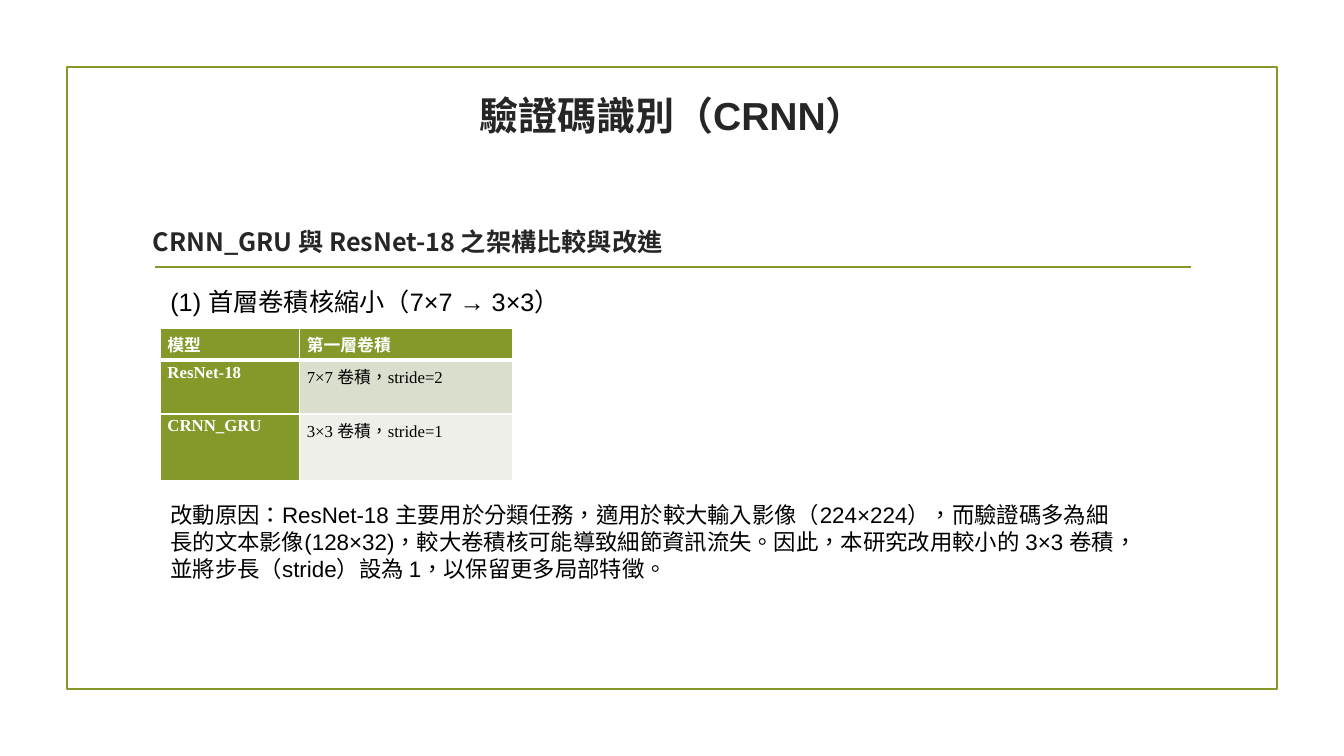
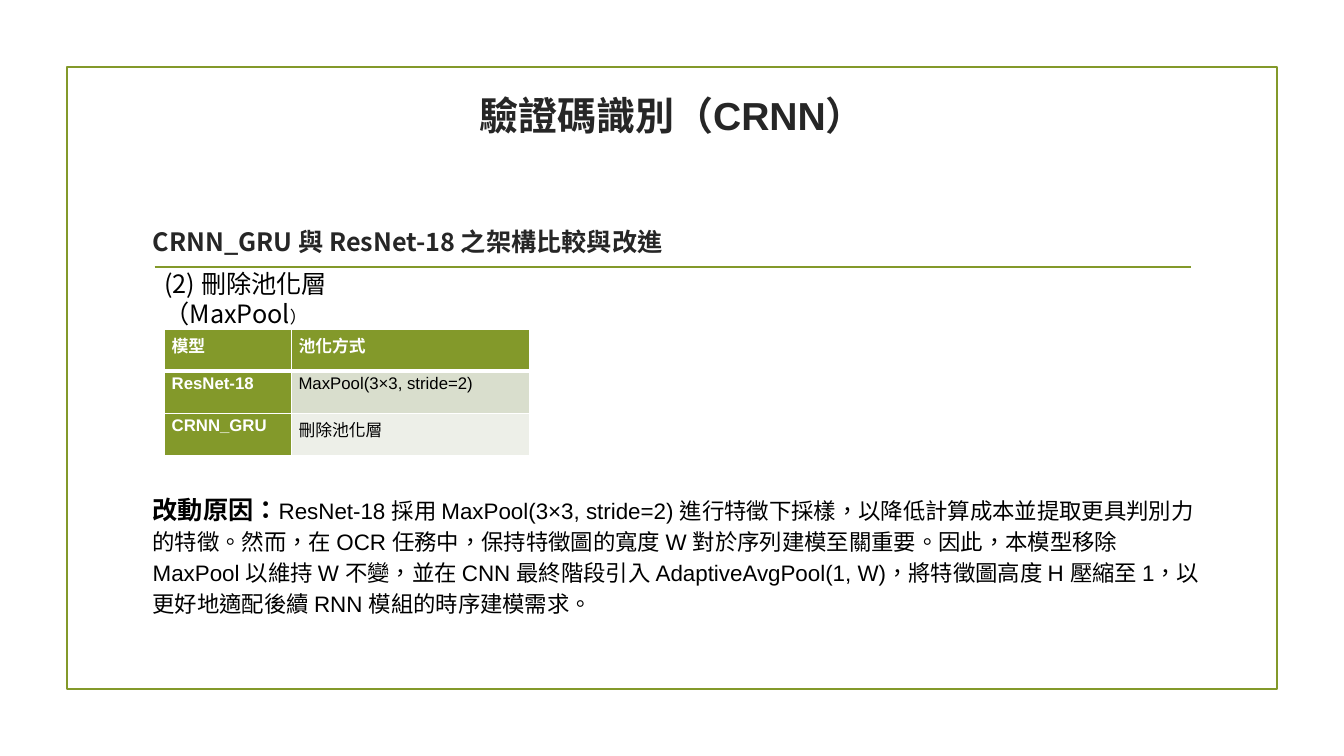
from dataclasses import dataclass
from typing import NamedTuple

from lxml import etree
from pptx import Presentation
from pptx import util as u
from pptx.dml.color import RGBColor
from pptx.enum import lang, shapes, text
from pptx.oxml import ns

GREEN = RGBColor(0x83, 0x99, 0x2A)
INK = RGBColor(0x26, 0x26, 0x26)
BLACK = RGBColor(0, 0, 0)
WHITE = RGBColor(0xFF, 0xFF, 0xFF)
BANDS = (RGBColor(0xD9, 0xDE, 0xCD), RGBColor(0xED, 0xEF, 0xE8))

SLIDE_WIDTH, SLIDE_HEIGHT = u.Inches(13.33), u.Inches(7.5)
GRID_COLUMNS, GRID_ROWS = 80, 45

SANS, CJK, SERIF = "Arial", "Noto Sans CJK SC", "Times New Roman"
TITLE = "驗證碼識別（CRNN）"
HEADING = "CRNN_GRU 與 ResNet-18 之架構比較與改進"
SPACED = {"line_spacing": 1.15, "space_after": u.Pt(8)}


class Area(NamedTuple):
    """Left, top, width and height in grid columns and rows."""
    left: float
    top: float
    width: float
    height: float

    def lengths(self) -> tuple[int, int, int, int]:
        return across(self.left), down(self.top), across(self.width), down(self.height)


class Span(NamedTuple):
    text: str
    size: float
    font: str = SANS
    color: RGBColor = BLACK
    bold: bool = False


@dataclass
class Note:
    area: Area
    spans: list[Span]
    spacing: dict
    anchor: text.MSO_ANCHOR = text.MSO_ANCHOR.TOP


@dataclass
class Comparison:
    left: float
    top: float
    widths: list[float]
    heights: list[float]
    font: str
    rows: list[tuple[str, str]]


@dataclass
class Page:
    topic: Note
    comparison: Comparison
    reason: Note


def across(columns: float) -> int:
    return round(SLIDE_WIDTH * columns / GRID_COLUMNS)


def down(rows: float) -> int:
    return round(SLIDE_HEIGHT * rows / GRID_ROWS)


FRAME = Area(4, 4, 72, 37)
RULE = Area(9.2, 15.9, 61.7, 0)
SHARED_NOTES = [
    Note(Area(8.5, 4.7, 63, 4.3), [Span(TITLE, 27.9, SANS, INK, True)],
         {"alignment": text.PP_ALIGN.CENTER}, text.MSO_ANCHOR.MIDDLE),
    Note(Area(8.5, 13.2, 63, 2.6), [Span(HEADING, 18, CJK, INK, True)],
         {"space_after": u.Pt(6)}),
]

PAGES = [
    Page(
        Note(Area(9.55, 16.5, 40.15, 2.6),
             [Span("(1) 首層卷積核縮小（7×7 → 3×3）", 18)], SPACED),
        Comparison(9.55, 19.55, [8.3, 12.65], [1.9, 3.2, 3.95], SERIF, [
            ("模型", "第一層卷積"),
            ("ResNet-18", "7×7 卷積，stride=2"),
            ("CRNN_GRU", "3×3 卷積，stride=1"),
        ]),
        Note(Area(9.55, 29.5, 58, 5.45), [Span(
            "改動原因：ResNet-18 主要用於分類任務，適用於較大輸入影像（224×224），"
            "而驗證碼多為細長的文本影像(128×32)，較大卷積核可能導致細節資訊流失。"
            "因此，本研究改用較小的 3×3 卷積，並將步長（stride）設為 1，"
            "以保留更多局部特徵。", 16)], {}, text.MSO_ANCHOR.MIDDLE),
    ),
    Page(
        Note(Area(9.2, 16.55, 11.7, 2.4),
             [Span("(2) 刪除池化層（MaxPool", 18, CJK), Span("）", 12, CJK)],
             {}, text.MSO_ANCHOR.MIDDLE),
        Comparison(9.8, 19.6, [7.55, 14.15], [2.5] * 3, SANS, [
            ("模型", "池化方式"),
            ("ResNet-18", "MaxPool(3×3, stride=2)"),
            ("CRNN_GRU", "刪除池化層"),
        ]),
        Note(Area(8.5, 28.85, 63.9, 8.1), [
            Span("改動原因：", 18, bold=True),
            Span("ResNet-18 採用 MaxPool(3×3, stride=2) 進行特徵下採樣，"
                 "以降低計算成本並提取更具判別力的特徵。然而，在 OCR 任務中，"
                 "保持特徵圖的寬度 W 對於序列建模至關重要。因此，本模型移除 MaxPool "
                 "以維持 W 不變，並在 CNN 最終階段引入 AdaptiveAvgPool(1, W)，"
                 "將特徵圖高度 H 壓縮至 1，以更好地適配後續 RNN 模組的時序建模需求。", 16),
        ], SPACED),
    ),
]


def apply(target, values: dict) -> None:
    for name, value in values.items():
        setattr(target, name, value)


def write(para, spans: list[Span], spacing: dict) -> None:
    apply(para, spacing)
    for span in spans:
        run = para.add_run()
        run.text = span.text
        apply(run.font, {
            "name": span.font, "size": u.Pt(span.size), "bold": span.bold,
            "language_id": lang.MSO_LANGUAGE_ID.TRADITIONAL_CHINESE,
        })
        run.font.color.rgb = span.color


def add_note(page, note: Note) -> None:
    box = page.shapes.add_textbox(*note.area.lengths())
    apply(box.text_frame, {"word_wrap": True, "vertical_anchor": note.anchor})
    write(box.text_frame.paragraphs[0], note.spans, note.spacing)


def add_backdrop(page) -> None:
    frame = page.shapes.add_shape(shapes.MSO_SHAPE.RECTANGLE, *FRAME.lengths())
    frame.shadow.inherit = False
    frame.fill.background()
    left, top, width, _ = RULE.lengths()
    rule = page.shapes.add_connector(
        shapes.MSO_CONNECTOR.STRAIGHT, left, top, left + width, top)
    etree.SubElement(rule._element.spPr, ns.qn("a:effectLst"))
    for outlined in (frame, rule):
        outlined.line.color.rgb = GREEN
        outlined.line.width = u.Pt(1.25)


def add_borders(cell, top: float, bottom: float) -> None:
    """Draw white cell edges; the widths of top and bottom are in points."""
    properties = cell._tc.get_or_add_tcPr()
    for side, width in {"L": 1, "R": 1, "T": top, "B": bottom}.items():
        edge = etree.SubElement(properties, ns.qn(f"a:ln{side}"), w=str(u.Pt(width)))
        fill = etree.SubElement(edge, ns.qn("a:solidFill"))
        etree.SubElement(fill, ns.qn("a:srgbClr"), val=str(WHITE))


def add_comparison(page, comparison: Comparison) -> None:
    area = Area(comparison.left, comparison.top,
                sum(comparison.widths), sum(comparison.heights))
    table = page.shapes.add_table(
        len(comparison.rows), len(comparison.widths), *area.lengths()).table
    apply(table, {"first_row": False, "horz_banding": False})
    for column, width in zip(table.columns, comparison.widths):
        column.width = across(width)
    for row, height in zip(table.rows, comparison.heights):
        row.height = down(height)
    for i, labels in enumerate(comparison.rows):
        for j, label in enumerate(labels):
            cell = table.cell(i, j)
            is_label = i == 0 or j == 0
            apply(cell, {"margin_left": u.Inches(0.07), "margin_right": u.Inches(0.07),
                         "margin_top": 0, "margin_bottom": 0})
            add_borders(cell, top=3 if i == 1 else 1, bottom=3 if i == 0 else 1)
            cell.fill.solid()
            cell.fill.fore_color.rgb = GREEN if is_label else BANDS[(i - 1) % 2]
            color = WHITE if is_label else BLACK
            write(cell.text_frame.paragraphs[0],
                  [Span(label, 12, comparison.font, color, is_label)], SPACED)


def main() -> None:
    deck = Presentation()
    apply(deck, {"slide_width": SLIDE_WIDTH, "slide_height": SLIDE_HEIGHT})
    for content in PAGES:
        page = deck.slides.add_slide(deck.slide_layouts[6])
        add_backdrop(page)
        add_comparison(page, content.comparison)
        for note in [*SHARED_NOTES, content.topic, content.reason]:
            add_note(page, note)
    deck.save("out.pptx")


if __name__ == "__main__":
    main()
